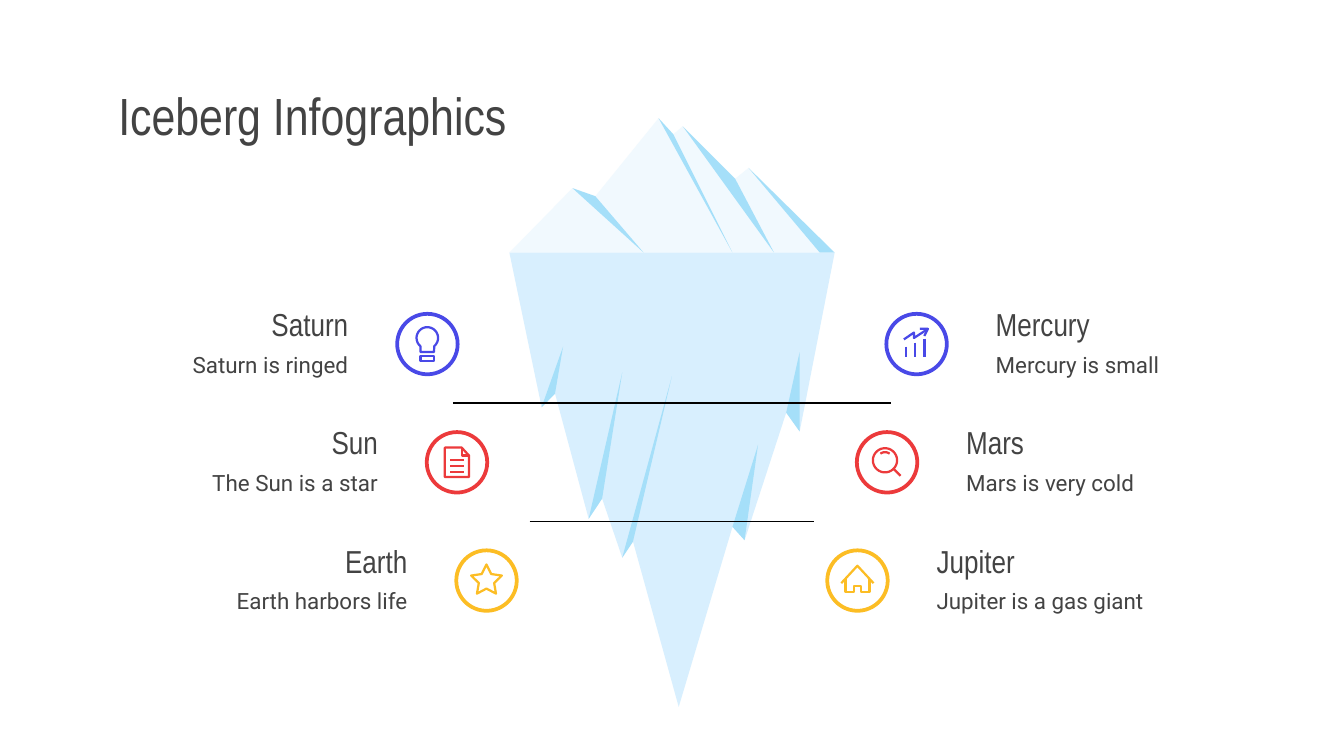
from math import cos, radians, sin

from lxml.etree import SubElement
from pptx import Presentation
from pptx.dml.color import RGBColor
from pptx.enum.shapes import MSO_CONNECTOR, MSO_SHAPE
from pptx.enum.text import MSO_ANCHOR, PP_ALIGN
from pptx.oxml.ns import qn
from pptx.util import Inches, Pt

DARK = RGBColor(0x43, 0x43, 0x43)
BLACK = RGBColor(0, 0, 0)
BLUE = RGBColor(0x49, 0x49, 0xE7)
RED = RGBColor(0xEC, 0x3A, 0x3B)
YELLOW = RGBColor(0xFC, 0xBD, 0x24)
SNOW = RGBColor(0xF1, 0xF9, 0xFE)
ICE = RGBColor(0xD8, 0xEF, 0xFE)
SHADE = RGBColor(0xA5, 0xDF, 0xF9)

HEADING_FONT, BODY_FONT = "Arial Narrow", "Roboto"
WIDTH, HEIGHT = Inches(10), Inches(5.625)
UNIT = Inches(0.01)  # grid step of the icon and iceberg outlines
MARGIN = Inches(0.1)

FIRST_ROW, ROW_STEP = Inches(2.56), Inches(0.88)
FIRST_REACH, REACH_STEP = Inches(1.82), Inches(0.22)
RING_SIZE, RING_WIDTH, ICON_WIDTH = Inches(0.45), Pt(2), Pt(1.2)
TEXT_GAP, TEXT_WIDTH, TEXT_HEIGHT = Inches(0.49), Inches(1.91), Inches(0.4)


def arc(center_x, center_y, radius, start, end, steps=30):
    """Return points on a circle; angles run clockwise from the right."""
    angles = [radians(start + (end - start) * step / steps) for step in range(steps + 1)]
    return [(center_x + radius * cos(a), center_y + radius * sin(a)) for a in angles]


def star(outer, inner):
    tips = arc(0, 0, outer, -90, 270, 5)[:5]
    notches = arc(0, 0, inner, -54, 306, 5)[:5]
    return [point for pair in zip(tips, notches) for point in pair]


# Each icon is a list of (points, closed), in grid units from the ring's centre.
BULB = [
    ([(-5, 6)] + arc(0, -4.5, 8, 130, 410) + [(5, 6)], True),
    ([(-5, 8.7), (5, 8.7), (5, 12.7), (-5, 12.7)], True),
]
GROWTH = [([(x, top), (x, 10)], False) for x, top in ((-8, 2), (-1, -1), (6, -4))] + [
    ([(-9.5, -3.5), (-2, -8.5), (-2, -4.5), (8, -11)], False),
    ([(2.5, -11.3), (8.5, -11.3), (5.8, -6)], False),
]
DOCUMENT = [
    ([(-9, -11), (3.5, -11), (9, -5), (9, 11), (-9, 11)], True),
    ([(3.5, -11), (3.5, -5), (9, -5)], False),
] + [([(-5, y), (5, y)], False) for y in (-1.5, 2.75, 7)]
MAGNIFIER = [
    (arc(-1.5, -1.5, 9, 0, 360), True),
    (arc(-1.5, -1.5, 6, 235, 305, 8), False),
    ([(5, 5), (10, 10)], False),
]
STAR = [(star(12, 6), True)]
HOUSE = [
    ([(-9, -1), (-9, 8.5), (-2.5, 8.5), (-2.5, 3.8),
      (2.5, 3.8), (2.5, 8.5), (9, 8.5), (9, -1)], False),
    ([(-12, 2), (0, -11), (12, 2)], False),
]

ROWS = [
    (BLUE, (BULB, "Saturn", "Saturn is ringed"), (GROWTH, "Mercury", "Mercury is small")),
    (RED, (DOCUMENT, "Sun", "The Sun is a star"), (MAGNIFIER, "Mars", "Mars is very cold")),
    (YELLOW, (STAR, "Earth", "Earth harbors life"), (HOUSE, "Jupiter", "Jupiter is a gas giant")),
]

# Iceberg outlines, in grid units from the iceberg's top left corner.
TIP = [(111, 0), (64, 58), (47, 52), (0, 100), (242, 100), (178, 37), (168, 45),
       (129, 6), (122, 12)]
BODY = [(0, 100), (24, 215), (34, 205), (59, 298), (69, 283), (84, 327), (92, 315),
        (126, 438), (166, 304), (175, 314), (206, 219), (216, 233), (242, 100)]
TIP_SHADES = [
    [(47, 52), (100, 100), (64, 58)],
    [(111, 0), (166, 100), (122, 12)],
    [(129, 6), (197, 100), (168, 45)],
    [(178, 37), (231, 100), (242, 100)],
]
BODY_SHADES = [
    [(40, 170), (24, 215), (34, 205)],
    [(84, 189), (59, 298), (69, 283)],
    [(121, 192), (84, 327), (92, 315)],
    [(185, 243), (166, 304), (175, 314)],
    [(216, 174), (206, 219), (216, 233)],
]


def add_outline(slide, left, top, points, closed=True):
    scaled = [(x * UNIT, y * UNIT) for x, y in points]
    builder = slide.shapes.build_freeform(*scaled[0])
    builder.add_line_segments(scaled[1:], close=closed)
    shape = builder.convert_to_shape(left, top)
    shape.shadow.inherit = False
    return shape


def stroke(shape, color, width):
    shape.fill.background()
    shape.line.color.rgb = color
    shape.line.width = width


def format_text(shape, text, font_name, size, alignment):
    frame = shape.text_frame
    frame.text = text
    frame.word_wrap = True
    frame.vertical_anchor = MSO_ANCHOR.MIDDLE
    frame.margin_left = frame.margin_right = MARGIN
    frame.margin_top = frame.margin_bottom = MARGIN
    paragraph = frame.paragraphs[0]
    paragraph.alignment = alignment
    font = paragraph.runs[0].font
    font.name, font.size, font.color.rgb = font_name, Pt(size), DARK


def add_title(slide, left, top, width, height):
    title = slide.shapes.title
    title.left, title.top, title.width, title.height = left, top, width, height
    format_text(title, "Iceberg Infographics", HEADING_FONT, 28, PP_ALIGN.LEFT)


def add_item(slide, center_x, center_y, side, color, icon, heading, detail):
    """Add a ringed icon with its text on the outer side: -1 left, 1 right."""
    for points, closed in icon:
        stroke(add_outline(slide, center_x, center_y, points, closed), color, ICON_WIDTH)
    ring = slide.shapes.add_shape(
        MSO_SHAPE.OVAL, center_x - RING_SIZE // 2, center_y - RING_SIZE // 2,
        RING_SIZE, RING_SIZE)
    ring.shadow.inherit = False
    stroke(ring, color, RING_WIDTH)

    left = center_x + TEXT_GAP if side > 0 else center_x - TEXT_GAP - TEXT_WIDTH
    alignment = PP_ALIGN.LEFT if side > 0 else PP_ALIGN.RIGHT
    for text, offset, font_name, size in (
            (detail, -0.05, BODY_FONT, 12), (heading, -0.35, HEADING_FONT, 17)):
        box = slide.shapes.add_textbox(
            left, center_y + Inches(offset), TEXT_WIDTH, TEXT_HEIGHT)
        format_text(box, text, font_name, size, alignment)


def add_iceberg(slide, left, top):
    pieces = [(TIP, SNOW), *((points, SHADE) for points in TIP_SHADES),
              (BODY, ICE), *((points, SHADE) for points in BODY_SHADES)]
    for points, color in pieces:
        shape = add_outline(slide, left, top, points)
        shape.fill.solid()
        shape.fill.fore_color.rgb = color
        shape.line.fill.background()


def add_divider(slide, center_x, y, reach):
    line = slide.shapes.add_connector(
        MSO_CONNECTOR.STRAIGHT, center_x - reach, y, center_x + reach, y)
    line.line.color.rgb = BLACK
    line.line.width = Pt(0.75)
    SubElement(line._element.spPr, qn("a:effectLst"))


def main():
    presentation = Presentation()
    presentation.slide_width, presentation.slide_height = WIDTH, HEIGHT
    slide = presentation.slides.add_slide(presentation.slide_layouts[5])
    middle = WIDTH // 2

    add_title(slide, Inches(0.78), Inches(0.59), Inches(3.41), Inches(0.53))
    for row, (color, *items) in enumerate(ROWS):
        reach = FIRST_REACH - row * REACH_STEP
        for side, item in zip((-1, 1), items):
            add_item(slide, middle + side * reach, FIRST_ROW + row * ROW_STEP,
                     side, color, *item)
    add_iceberg(slide, Inches(3.79), Inches(0.88))
    for row, reach in enumerate((1.63, 1.06)):
        add_divider(slide, middle, FIRST_ROW + row * ROW_STEP + ROW_STEP // 2, Inches(reach))
    presentation.save("out.pptx")


if __name__ == "__main__":
    main()
